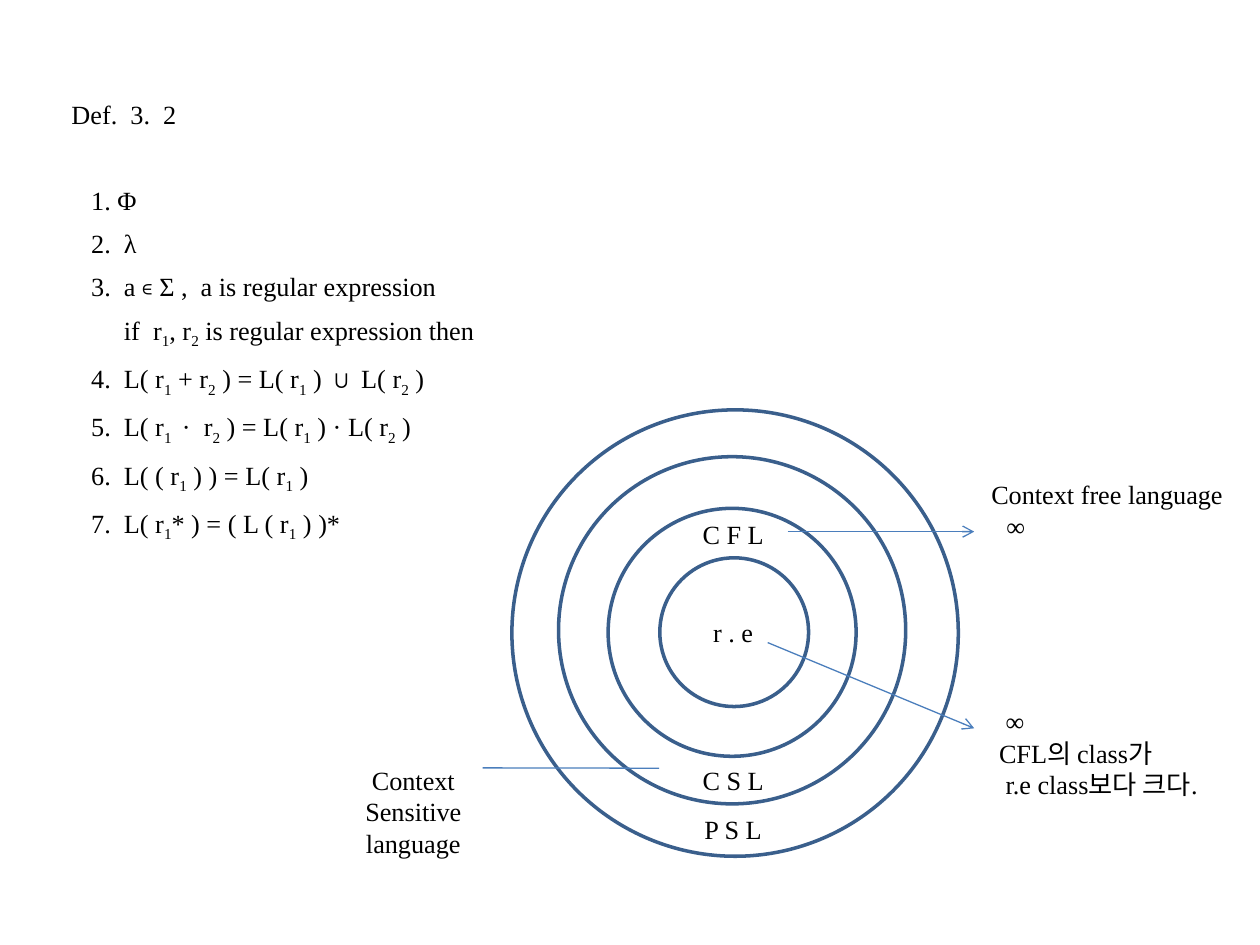
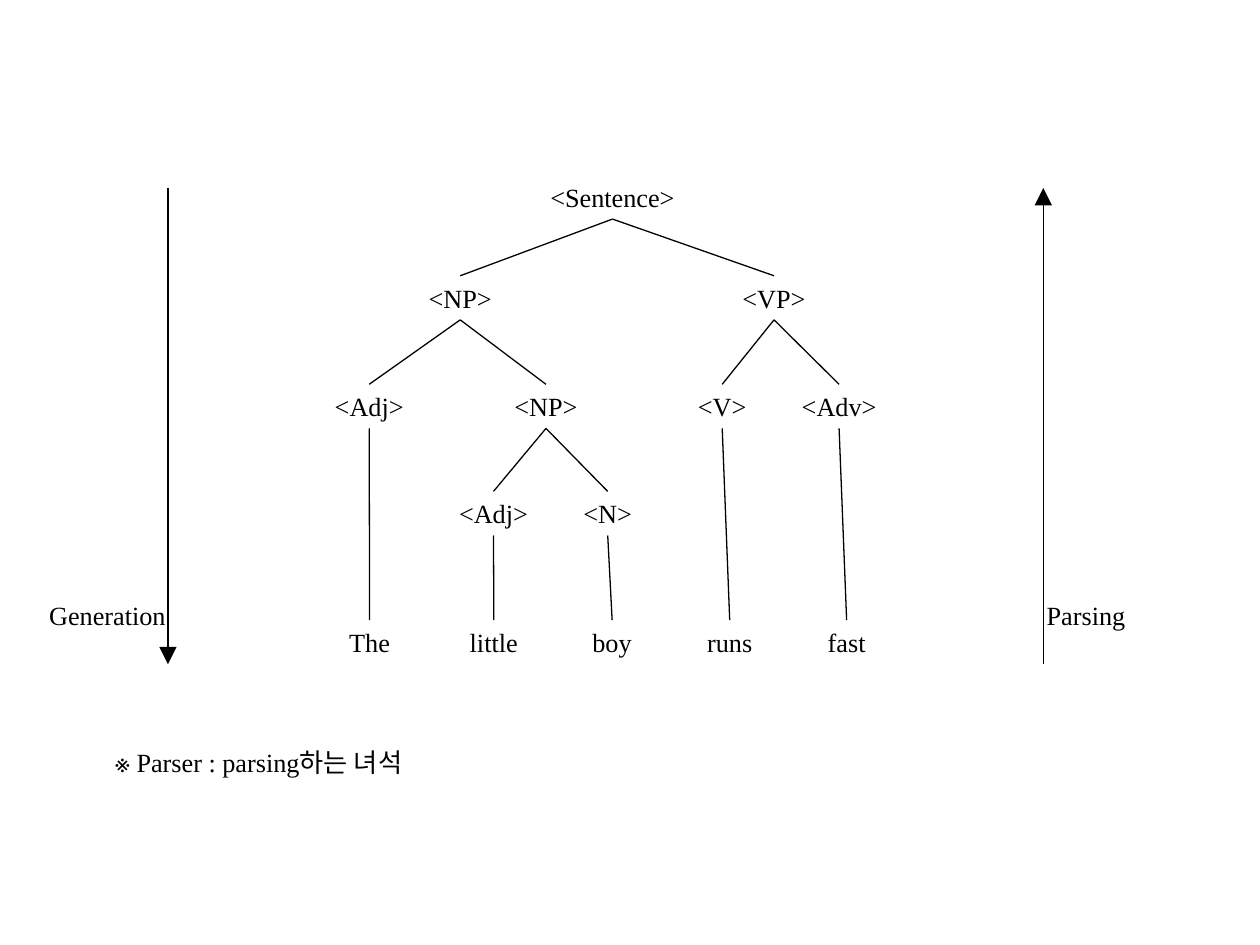
import pptx
import pptx.util
import pptx.dml.color
import pptx.enum.shapes
import pptx.enum.text
import pptx.oxml.ns
import lxml.etree

Pt = pptx.util.Pt
RGB = pptx.dml.color.RGBColor
ALIGN = pptx.enum.text.PP_ALIGN
FIT = pptx.enum.text.MSO_AUTO_SIZE
SHAPE = pptx.enum.shapes.MSO_SHAPE
LINK = pptx.enum.shapes.MSO_CONNECTOR
qn = pptx.oxml.ns.qn

BLACK = RGB(0, 0, 0)
RING = RGB(0x3A, 0x5F, 0x8C)
BLUE = RGB(0x4B, 0x7E, 0xBC)
FONT = "Times New Roman"
SIZE = 15
TALL = 25.2   # height of a one-line label
GAP = 3.75    # width of one space at SIZE

# Braces mark subscripts; the number is the left indent.
RULES = [
    (0, "Def.  3.  2"),
    (3 * GAP, "1. Φ"),
    (3 * GAP, "2.  λ"),
    (3 * GAP, "3.  a ∊ Σ ,  a is regular expression"),
    (8 * GAP, "if  r{1}, r{2} is regular expression then"),
    (3 * GAP, "4.  L( r{1} + r{2} ) = L( r{1} ) ∪ L( r{2} )"),
    (3 * GAP, "5.  L( r{1 } ·  r{2} ) = L( r{1} ) · L( r{2} )"),
    (3 * GAP, "6.  L( ( r{1} ) ) = L( r{1} )"),
    (3 * GAP, "7.  L( r{1}* ) = ( L ( r{1} ) )*"),
]

# Each node: text, centre x, width, children.
TREE = ("<Sentence>", 166, 88, [
    ("<NP>", 79, 52, [
        ("<Adj>", 27, 56, [("The", 27.2, 40, [])]),
        ("<NP>", 128, 52, [
            ("<Adj>", 98, 56, [("little", 98.2, 44, [])]),
            ("<N>", 163.3, 44, [("boy", 165.8, 39, [])]),
        ]),
    ]),
    ("<VP>", 258.3, 52, [
        ("<V>", 228.7, 44, [("runs", 233, 42, [])]),
        ("<Adv>", 295.5, 60, [("fast", 299.8, 38, [])]),
    ]),
])
ROWS = [0, 57.6, 119.6, 180.8, 254.4]


def style(run):
    run.font.name = FONT
    run.font.size = Pt(SIZE)
    run.font.color.rgb = BLACK


def inset(para, left):
    props = para._p.get_or_add_pPr()
    props.set("marL", str(int(Pt(left))))
    props.set("indent", "0")


def label(slide, box, text, align=ALIGN.CENTER, wrap=False):
    shape = slide.shapes.add_textbox(*map(Pt, box))
    frame = shape.text_frame
    frame.text = text
    frame.word_wrap = wrap
    frame.auto_size = FIT.SHAPE_TO_FIT_TEXT
    for para in frame.paragraphs:
        para.alignment = align
        for run in para.runs:
            style(run)
    return shape


def line(slide, start, end, color=BLACK, tip=None, size="med"):
    link = slide.shapes.add_connector(LINK.STRAIGHT, *map(Pt, start + end))
    link.line.color.rgb = color
    link.line.width = Pt(0.75)
    if tip:
        edge = link.line._get_or_add_ln()
        lxml.etree.SubElement(edge, qn("a:tailEnd"), type=tip, w=size, len=size)
    lxml.etree.SubElement(link._element.spPr, qn("a:effectLst"))
    return link


def rules(slide, box):
    """Write the definition and its numbered rules."""
    frame = slide.shapes.add_textbox(*map(Pt, box)).text_frame
    frame.word_wrap = True
    for i, (left, text) in enumerate(RULES):
        para = frame.add_paragraph() if i else frame.paragraphs[0]
        inset(para, left)
        para.line_spacing = 1.2
        # The first rule stands one empty line below the heading.
        para.space_before = Pt((0, 27.3)[i] if i < 2 else 3)
        for j, part in enumerate(text.split("{")):
            sub, _, rest = part.partition("}") if j else ("", "", part)
            for words, base in ((sub, "-25000"), (rest, "0")):
                if words:
                    run = para.add_run()
                    run.text = words
                    style(run)
                    run._r.get_or_add_rPr().set("baseline", base)


def rings(slide, box):
    """Draw the nested language classes with their names."""
    x, y, w, h = box
    mid, hub = x + w / 2, y + h / 2
    step = 56.7
    # The rings sit slightly off one another's centres.
    shifts = ((0.5, 0.2), (-1.2, -1.4), (-1.2, -0.2), (0, -0.3))
    for k, (dx, dy) in enumerate(shifts):
        d = w - k * step
        ring = slide.shapes.add_shape(
            SHAPE.OVAL, Pt(mid + dx - d / 2), Pt(hub + dy - d / 2), Pt(d), Pt(d))
        ring.shadow.inherit = False
        ring.fill.background()
        ring.line.color.rgb = RING
        ring.line.width = Pt(2)
    names = (("r . e", 114.5), ("C F L", 58.6), ("C S L", 199.4), ("P S L", 227.2))
    for name, top in names:
        label(slide, (mid - 25.6, y + top, 50, TALL), name, wrap=True)


def notes(slide, box):
    """Place the remarks around the rings and the lines that lead to them."""
    x, y, w, h = box
    free = label(slide, (x + 388.2, y, 152, 43), "Context free language\n∞", wrap=True)
    last = free.text_frame.paragraphs[1]
    last.alignment = ALIGN.LEFT
    inset(last, 3 * GAP)
    label(slide, (x, y + 163.2, 135.4, 61), "Context\nSensitive\nlanguage", wrap=True)
    more = label(slide, (x + 395.3, y + 129.6, 139.7, 61),
                 "∞\nCFL의 class가\nr.e class보다 크다.", ALIGN.LEFT, True)
    for i in (0, 2):
        inset(more.text_frame.paragraphs[i], GAP)
    line(slide, (x + 107.3, y + 168.8), (x + 208.1, y + 169), BLUE)
    tip = x + 388.2
    line(slide, (x + 281.5, y + 33.8), (tip, y + 33.8), BLUE, "arrow")
    line(slide, (x + 270.2, y + 97.2), (tip, y + 146.2), BLUE, "arrow")


def grow(slide, box, node, row=0):
    """Draw a node and its children; words stand on the last row."""
    text, mid, wide, kids = node
    top = ROWS[row] if kids else ROWS[-1]
    shape = label(slide, (box[0] + mid - wide / 2, box[1] + top, wide, TALL), text)
    for kid in kids:
        child = grow(slide, box, kid, row + 1)
        edge = line(slide, (0, 0), (0, 0))
        edge.begin_connect(shape, 2)
        edge.end_connect(child, 0)
    return shape


def axis(slide, box, text, up):
    """Arrow on the inner edge of the box, pointing up or down, with a label."""
    x, y, w, h = box
    lap = 5.8
    at = x if up else x + w
    ends = [(at, y), (at, y + h)]
    if up:
        ends.reverse()
    line(slide, *ends, tip="triangle", size="lg")
    left = x - lap if up else x
    label(slide, (left, y + 231.4, w + lap, TALL), text, ALIGN.RIGHT)


def main():
    deck = pptx.Presentation()
    deck.slide_width, deck.slide_height = Pt(720), Pt(540)
    blank = deck.slide_layouts[6]

    page = deck.slides.add_slide(blank)
    rules(page, (33.8, 49.2, 648, 457))
    rings(page, (292, 234, 255.1, 255.1))
    notes(page, (168.5, 270, 540, 225))

    page = deck.slides.add_slide(blank)
    grow(page, (184, 100, 324, 279.6), TREE)
    axis(page, (19, 107.4, 77, 272.2), "Generation", False)
    axis(page, (596.2, 107.4, 54, 272.2), "Parsing", True)
    label(page, (46.6, 423.1, 190.4, TALL), "※ Parser : parsing하는 녀석", ALIGN.RIGHT)

    deck.save("out.pptx")


if __name__ == "__main__":
    main()
